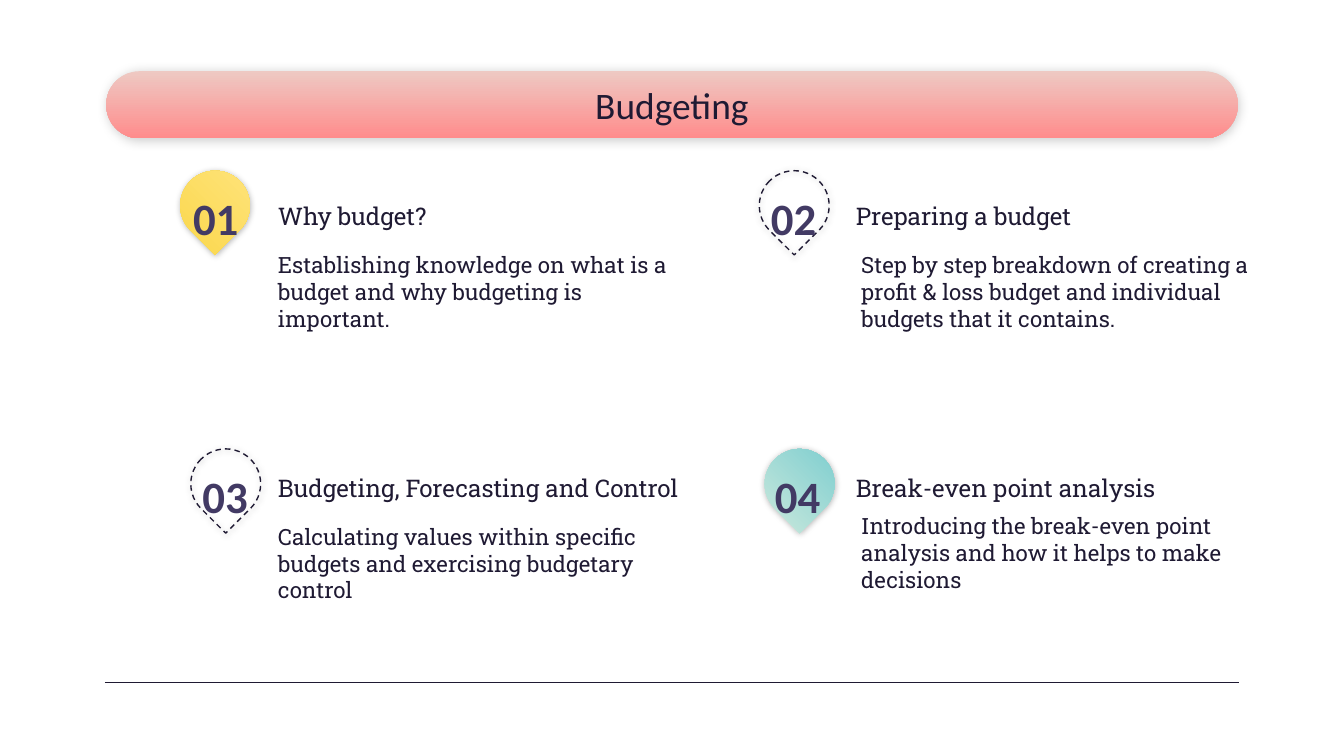
from dataclasses import dataclass

from lxml.etree import SubElement
from pptx import Presentation
from pptx.dml.color import RGBColor
from pptx.enum.dml import MSO_LINE
from pptx.enum.shapes import MSO_CONNECTOR, MSO_SHAPE
from pptx.enum.text import MSO_ANCHOR, PP_ALIGN
from pptx.oxml.ns import qn
from pptx.util import Pt

EMU_PER_PX = 9144  # 100 px to the inch


@dataclass(frozen=True)
class Theme:
    ink: str = "1F1A33"
    number: str = "423A64"
    shadow: str = "000000"
    banner: tuple = ("EEC9C3", "FF8C8C")
    yellow: tuple = ("FAD647", "FFE582")
    teal: tuple = ("D4EBDE", "70CACD")
    sans: str = "Calibri"
    slab: str = "Roboto Slab"
    title_size: int = 20
    number_size: int = 24
    heading_size: int = 13
    body_size: int = 12
    line_width: float = 0.75


THEME = Theme()

# Font and paragraph values for each kind of text
STYLES = {
    "title": (
        {"name": THEME.sans, "size": Pt(THEME.title_size)},
        {"alignment": PP_ALIGN.CENTER},
    ),
    "number": (
        {"name": THEME.sans, "size": Pt(THEME.number_size), "bold": True},
        {"alignment": PP_ALIGN.CENTER, "space_after": Pt(16)},
    ),
    "heading": (
        {"name": THEME.slab, "size": Pt(THEME.heading_size)},
        {"alignment": PP_ALIGN.LEFT, "space_after": Pt(16)},
    ),
    "body": (
        {"name": THEME.slab, "size": Pt(THEME.body_size)},
        {"alignment": PP_ALIGN.LEFT, "space_after": Pt(16)},
    ),
}

# Each topic: number, pin position, pin colours (None = dashed outline),
# number position, heading box, heading, body box, body
TOPICS = [
    ("01", (134, 127), THEME.yellow, (128, 132),
     (197, 140, 273, 37), "Why budget?",
     (197, 177, 314, 139),
     "Establishing knowledge on what is a budget and why budgeting is important."),
    ("02", (565, 127), None, (558, 132),
     (627, 140, 273, 37), "Preparing a budget",
     (631, 177, 314, 139),
     "Step by step breakdown of creating a profit & loss budget and "
     "individual budgets that it contains."),
    ("03", (142, 334), None, (135, 339),
     (197, 342, 337, 37), "Budgeting, Forecasting and Control",
     (197, 379, 314, 124),
     "Calculating values within specific budgets and exercising budgetary control"),
    ("04", (569, 334), THEME.teal, (561, 339),
     (627, 342, 273, 37), "Break-even point analysis",
     (631, 371, 314, 139),
     "Introducing the break-even point analysis and how it helps to make decisions"),
]


def px(*lengths):
    return [length * EMU_PER_PX for length in lengths]


def set_values(target, values):
    for name, value in values.items():
        setattr(target, name, value)


def add_shadow(shape, opacity, blur):
    shape.shadow.inherit = False
    effects = shape._element.spPr.find(qn("a:effectLst"))
    shadow = SubElement(effects, qn("a:outerShdw"), {
        "blurRad": str(Pt(blur)), "dist": str(Pt(0.8)), "dir": str(66 * 60000),
        "algn": "bl", "rotWithShape": "0"})
    color = SubElement(shadow, qn("a:srgbClr"), val=THEME.shadow)
    SubElement(color, qn("a:alpha"), val=str(opacity * 1000))


def fill_gradient(shape, colors):
    shape.fill.gradient()
    shape.fill.gradient_angle = 270
    for stop, color in zip(shape.fill.gradient_stops, colors):
        stop.color.rgb = RGBColor.from_string(color)
    shape.line.fill.background()


def set_line(line, dash=None):
    line.color.rgb = RGBColor.from_string(THEME.ink)
    set_values(line, {"width": Pt(THEME.line_width), "dash_style": dash})


def add_banner(slide):
    banner = slide.shapes.add_shape(
        MSO_SHAPE.ROUNDED_RECTANGLE, *px(79, 53, 842, 50))
    banner.adjustments[0] = 0.5
    fill_gradient(banner, THEME.banner)
    add_shadow(banner, 20, 5.6)


def add_rule(slide):
    rule = slide.shapes.add_connector(
        MSO_CONNECTOR.STRAIGHT, *px(78, 508, 922, 508))
    set_line(rule.line)
    SubElement(rule._element.spPr, qn("a:effectLst"))


def add_pin(slide, position, colors):
    pin = slide.shapes.add_shape(MSO_SHAPE.TEAR, *px(*position, 52, 52))
    pin.rotation = 225
    pin._element.spPr.xfrm.set("flipH", "1")
    if colors:
        fill_gradient(pin, colors)
    else:
        pin.fill.background()
        set_line(pin.line, MSO_LINE.DASH)
    add_shadow(pin, 30, 3.4)


def add_text(slide, box, text, style, color=THEME.ink, anchor=MSO_ANCHOR.TOP):
    frame = slide.shapes.add_textbox(*px(*box)).text_frame
    inset, = px(10)
    set_values(frame, {
        "word_wrap": True, "vertical_anchor": anchor,
        "margin_left": inset, "margin_right": inset,
        "margin_top": inset, "margin_bottom": inset})
    paragraph = frame.paragraphs[0]
    run = paragraph.add_run()
    run.text = text
    font_values, paragraph_values = STYLES[style]
    set_values(run.font, font_values)
    set_values(paragraph, paragraph_values)
    run.font.color.rgb = RGBColor.from_string(color)


def main():
    # Widescreen, 16 to 9
    presentation = Presentation()
    width, = px(1000)
    set_values(presentation, {
        "slide_width": width, "slide_height": width * 9 // 16})
    slide = presentation.slides.add_slide(presentation.slide_layouts[6])

    # Title banner and footer rule
    add_banner(slide)
    add_rule(slide)
    add_text(slide, (247, 53, 506, 50), "Budgeting", "title",
             anchor=MSO_ANCHOR.MIDDLE)

    # Numbered topics
    for (number, pin_position, colors, number_position,
         heading_box, heading, body_box, body) in TOPICS:
        add_pin(slide, pin_position, colors)
        add_text(slide, (*number_position, 65, 32), number, "number", THEME.number)
        add_text(slide, heading_box, heading, "heading")
        add_text(slide, body_box, body, "body")

    presentation.save("out.pptx")


if __name__ == "__main__":
    main()
